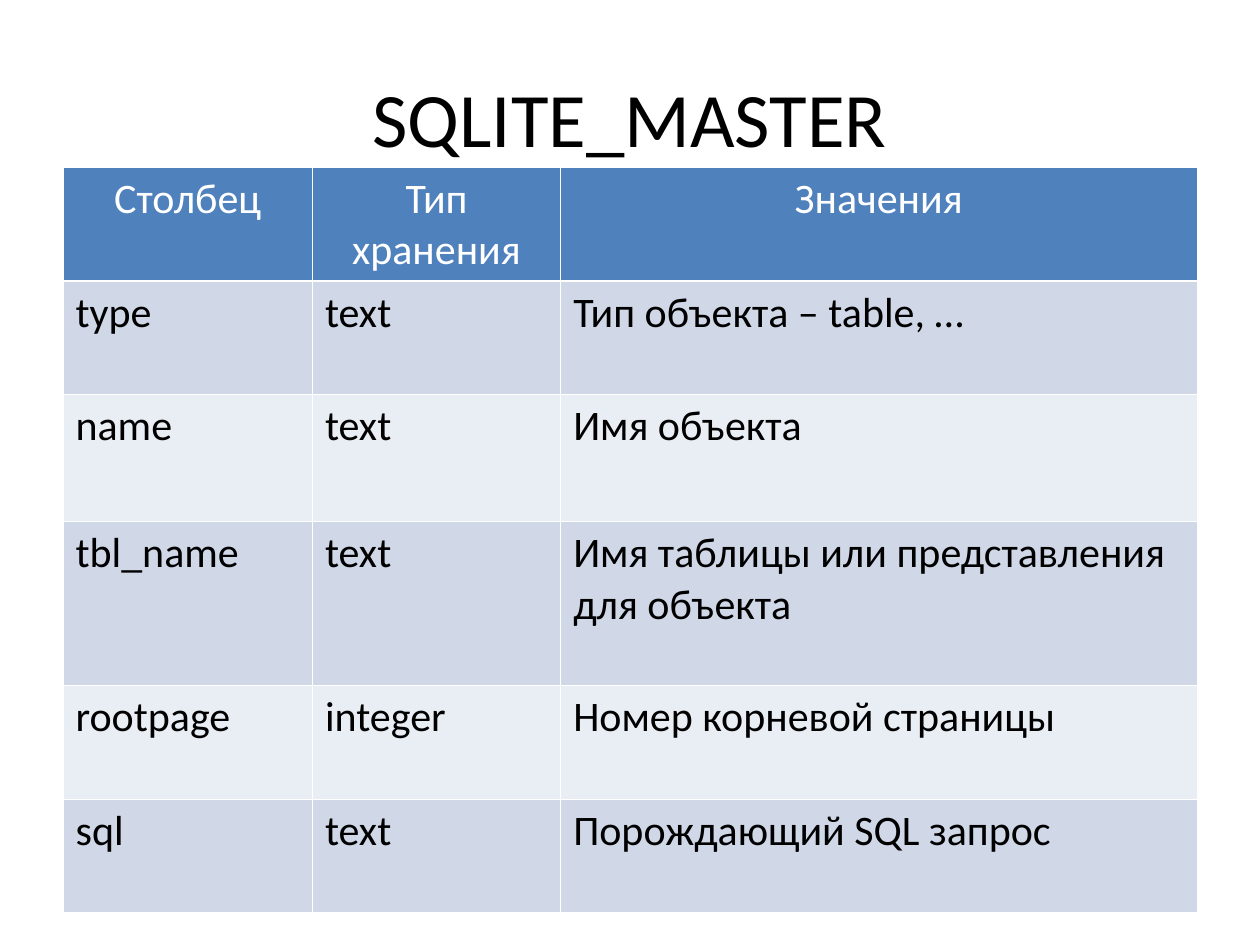
from dataclasses import dataclass

from lxml import etree
from pptx import Presentation
from pptx.dml.color import RGBColor
from pptx.enum import text
from pptx.oxml.ns import qn
from pptx.util import Inches, Pt


@dataclass(frozen=True)
class Theme:
    font: str = "Calibri"
    title_size: float = 44
    table_size: float = 24
    ink: str = "000000"
    paper: str = "FFFFFF"
    header: str = "4F81BD"
    bands: tuple[str, str] = ("D0D8E8", "E9EDF4")
    thin: float = 0.45
    thick: float = 1.47


@dataclass(frozen=True)
class Row:
    height: float
    column: str
    storage: str
    meaning: str

    @property
    def texts(self) -> tuple[str, str, str]:
        return self.column, self.storage, self.meaning


THEME = Theme()
COLUMN_WIDTHS = (1.98, 1.97, 5.05)
ROWS = (
    Row(0.9, "Столбец", "Тип хранения", "Значения"),
    Row(0.9, "type", "text", "Тип объекта – table, …"),
    Row(1.01, "name", "text", "Имя объекта"),
    Row(1.3, "tbl_name", "text", "Имя таблицы или представления для объекта"),
    Row(0.9, "rootpage", "integer", "Номер корневой страницы"),
    Row(0.9, "sql", "text", "Порождающий SQL запрос"),
)


def write(frame, content: str, size: float, color: str, centered: bool) -> None:
    frame.text = content
    frame.word_wrap = True
    paragraph = frame.paragraphs[0]
    paragraph.alignment = text.PP_ALIGN.CENTER if centered else text.PP_ALIGN.LEFT
    font = paragraph.runs[0].font
    font.name = THEME.font
    font.size = Pt(size)
    font.color.rgb = RGBColor.from_string(color)


def add_borders(cell, top: float, bottom: float) -> None:
    """Draw the cell's four borders; must run before the cell is filled."""
    properties = cell._tc.get_or_add_tcPr()
    widths = {"a:lnL": THEME.thin, "a:lnR": THEME.thin, "a:lnT": top, "a:lnB": bottom}
    for tag, width in widths.items():
        line = etree.SubElement(properties, qn(tag), w=str(Pt(width)))
        fill = etree.SubElement(line, qn("a:solidFill"))
        etree.SubElement(fill, qn("a:srgbClr"), val=THEME.paper)


def add_title(slide, content: str) -> None:
    title = slide.shapes.add_textbox(Inches(0.5), Inches(0.3), Inches(9), Inches(1.25))
    title.text_frame.vertical_anchor = text.MSO_ANCHOR.MIDDLE
    write(title.text_frame, content, THEME.title_size, THEME.ink, centered=True)


def add_schema_table(slide, rows: tuple[Row, ...]) -> None:
    table = slide.shapes.add_table(
        len(rows), len(COLUMN_WIDTHS), Inches(0.5), Inches(1.33),
        Inches(sum(COLUMN_WIDTHS)), Inches(sum(row.height for row in rows)),
    ).table
    for column, width in zip(table.columns, COLUMN_WIDTHS):
        column.width = Inches(width)
    for index, row in enumerate(rows):
        table.rows[index].height = Inches(row.height)
        is_header = index == 0
        background = THEME.header if is_header else THEME.bands[(index - 1) % 2]
        color = THEME.paper if is_header else THEME.ink
        top = THEME.thick if index == 1 else THEME.thin
        bottom = THEME.thick if is_header else THEME.thin
        for cell, content in zip(table.rows[index].cells, row.texts):
            write(cell.text_frame, content, THEME.table_size, color, is_header)
            add_borders(cell, top, bottom)
            cell.fill.solid()
            cell.fill.fore_color.rgb = RGBColor.from_string(background)
            if is_header:
                cell.text_frame.paragraphs[0].runs[0].font.bold = False


def main() -> None:
    presentation = Presentation()
    presentation.slide_width = Inches(10)
    presentation.slide_height = Inches(7.5)
    slide = presentation.slides.add_slide(presentation.slide_layouts[6])
    add_title(slide, "SQLITE_MASTER")
    add_schema_table(slide, ROWS)
    presentation.save("out.pptx")


if __name__ == "__main__":
    main()
